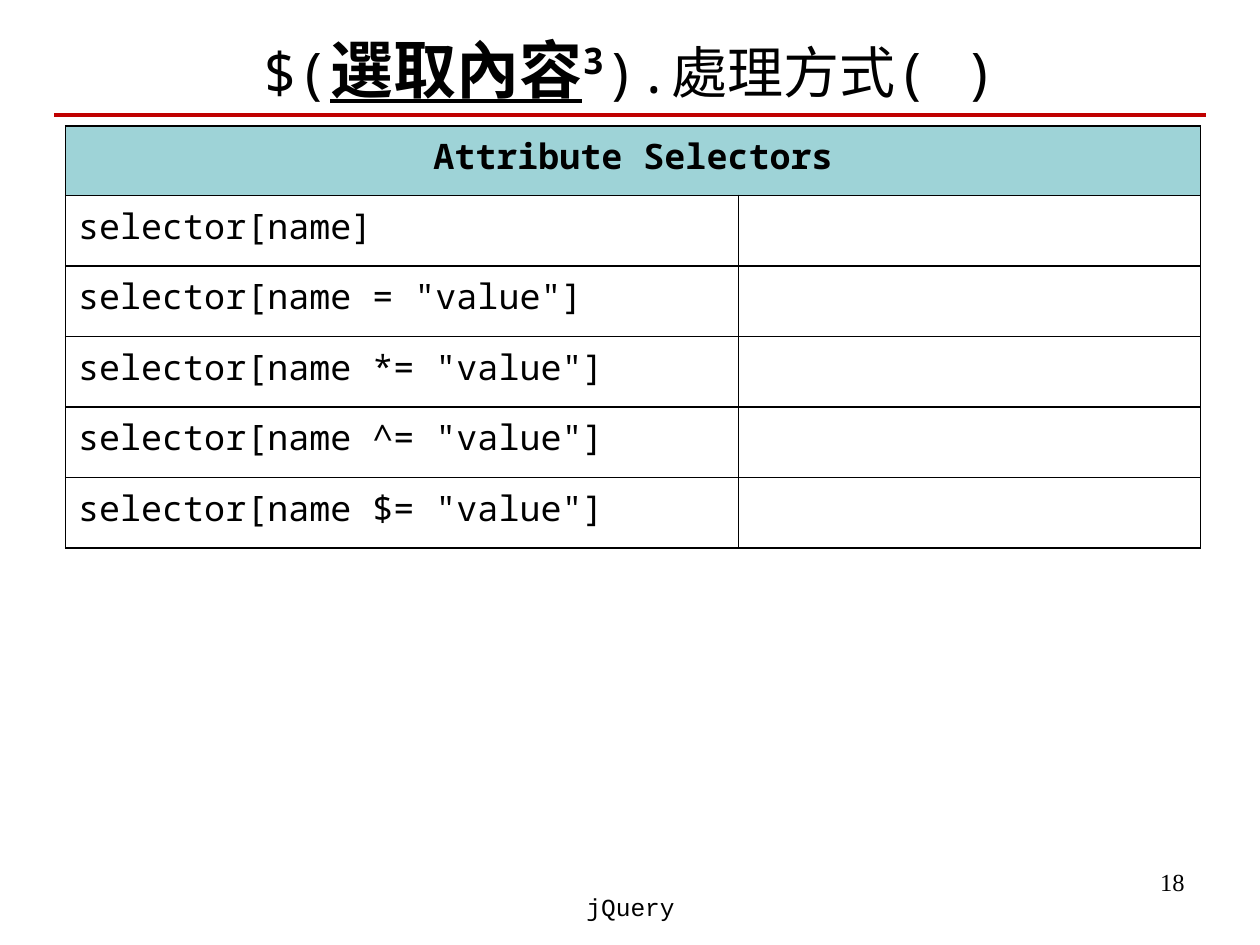
from dataclasses import dataclass

from lxml import etree
from pptx import Presentation
from pptx.dml.color import RGBColor
from pptx.enum import shapes, text
from pptx.oxml import ns
from pptx.util import Inches, Pt

BLACK, RED, TEAL = "000000", "C00000", "9ED3D7"
MONO = "Noto Sans Mono"
CENTER, LEFT, RIGHT = text.PP_ALIGN.CENTER, text.PP_ALIGN.LEFT, text.PP_ALIGN.RIGHT
SELECTORS = [
    'selector[name]',
    'selector[name = "value"]',
    'selector[name *= "value"]',
    'selector[name ^= "value"]',
    'selector[name $= "value"]',
]


@dataclass
class Span:
    wording: str
    size: float
    font: str = MONO
    bold: bool = False
    underline: bool = False
    baseline: int = 0


@dataclass
class Label:
    left: float
    top: float
    width: float
    height: float
    align: text.PP_ALIGN
    spans: list[Span]
    anchor: text.MSO_ANCHOR = text.MSO_ANCHOR.TOP


LABELS = [
    Label(7.17, 6.83, 2.33, 0.52, RIGHT, [Span("18", 14, "Times New Roman")]),
    Label(0.5, 0.16, 9, 0.76, CENTER, [
        Span("$(", 32),
        Span("選取內容", 36, bold=True, underline=True),
        Span("3", 36, bold=True, baseline=30),
        Span(").處理方式( )", 32),
    ], text.MSO_ANCHOR.MIDDLE),
    Label(3.42, 7.03, 3.17, 0.5, CENTER, [Span("jQuery", 14, "Courier New")]),
]


def color(value: str) -> RGBColor:
    return RGBColor.from_string(value)


def write(frame, spans: list[Span], align) -> None:
    paragraph = frame.paragraphs[0]
    paragraph.alignment = align
    for span in spans:
        run = paragraph.add_run()
        run.text = span.wording
        font = run.font
        font.size, font.name, font.bold = Pt(span.size), span.font, span.bold
        font.underline = span.underline
        font.color.rgb = color(BLACK)
        properties = run._r.get_or_add_rPr()
        etree.SubElement(properties, ns.qn("a:ea"), typeface=span.font)
        if span.baseline:
            properties.set("baseline", str(span.baseline * 1000))


def draw_label(slide, label: Label) -> None:
    box = slide.shapes.add_textbox(
        Inches(label.left), Inches(label.top), Inches(label.width), Inches(label.height))
    box.text_frame.word_wrap = True
    box.text_frame.vertical_anchor = label.anchor
    write(box.text_frame, label.spans, label.align)


def draw_rule(slide, left: float, right: float, y: float) -> None:
    rule = slide.shapes.add_connector(
        shapes.MSO_CONNECTOR.STRAIGHT, Inches(left), Inches(y), Inches(right), Inches(y))
    rule.line.color.rgb = color(RED)
    rule.line.width = Pt(2.25)
    etree.SubElement(rule._element.spPr, ns.qn("a:effectLst"))


def style_cell(cell, fill: str | None) -> None:
    properties = cell._tc.get_or_add_tcPr()
    for side in ("lnL", "lnR", "lnT", "lnB"):
        border = etree.SubElement(properties, ns.qn(f"a:{side}"), w=str(Pt(1)))
        solid = etree.SubElement(border, ns.qn("a:solidFill"))
        etree.SubElement(solid, ns.qn("a:srgbClr"), val=BLACK)
    if fill:
        cell.fill.solid()
        cell.fill.fore_color.rgb = color(fill)
    else:
        cell.fill.background()


def draw_selectors(slide) -> None:
    widths = [5.34, 3.67]
    heights = [0.55] + [0.56] * len(SELECTORS)
    table = slide.shapes.add_table(
        len(heights), len(widths), Inches(0.52), Inches(1),
        Inches(sum(widths)), Inches(sum(heights))).table
    table.first_row = table.horz_banding = False
    for column, width in zip(table.columns, widths):
        column.width = Inches(width)
    for index, (row, height) in enumerate(zip(table.rows, heights)):
        row.height = Inches(height)
        for cell in row.cells:
            style_cell(cell, None if index else TEAL)
    heading = table.cell(0, 0)
    heading.merge(table.cell(0, 1))
    write(heading.text_frame, [Span("Attribute Selectors", 20, bold=True)], CENTER)
    for index, selector in enumerate(SELECTORS, 1):
        write(table.cell(index, 0).text_frame, [Span(selector, 20)], LEFT)


def main() -> None:
    deck = Presentation()
    deck.slide_width, deck.slide_height = Inches(10), Inches(7.5)
    slide = deck.slides.add_slide(deck.slide_layouts[6])
    for label in LABELS:
        draw_label(slide, label)
    draw_rule(slide, 0.43, 9.57, 0.91)
    draw_selectors(slide)
    deck.save("out.pptx")


if __name__ == "__main__":
    main()
